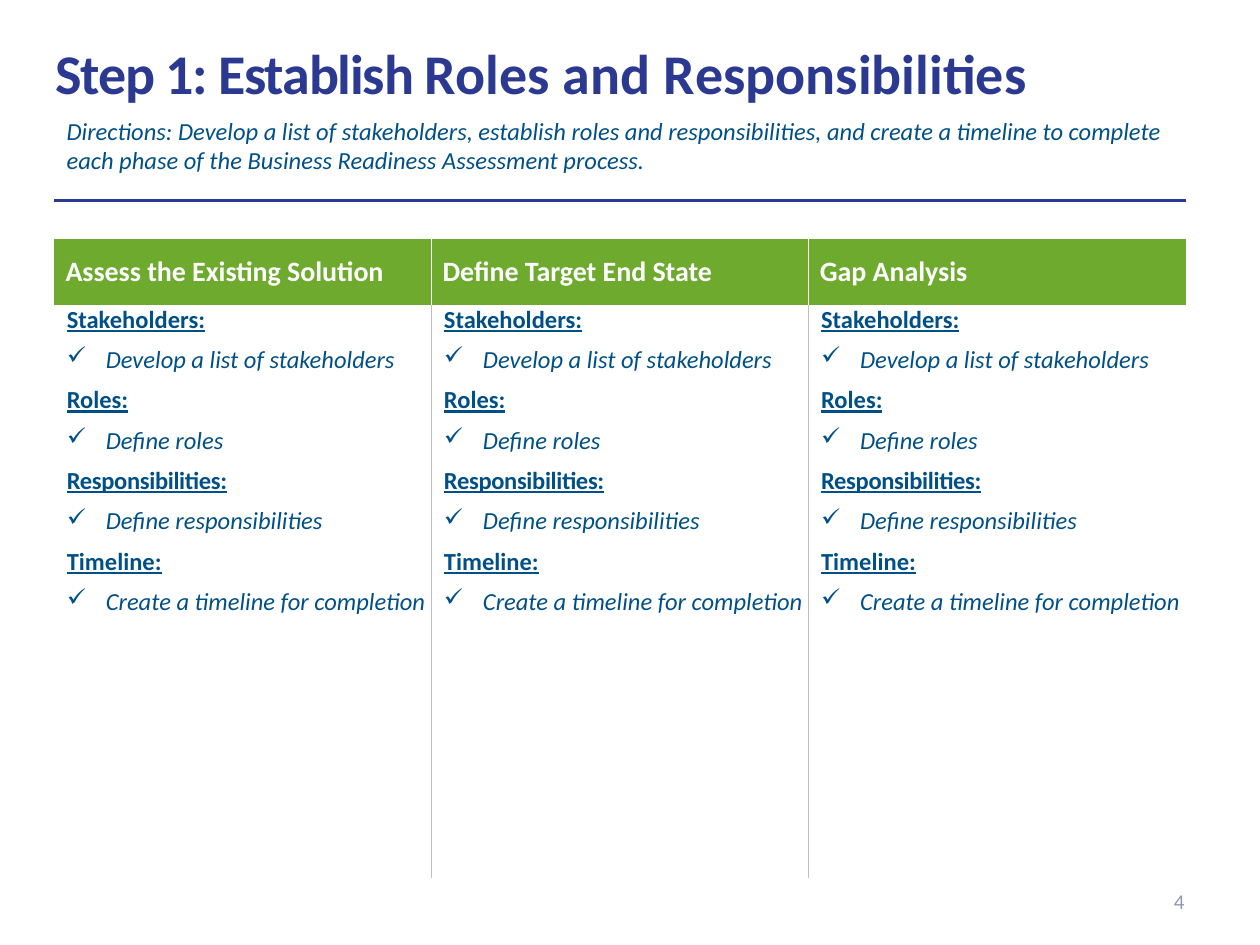
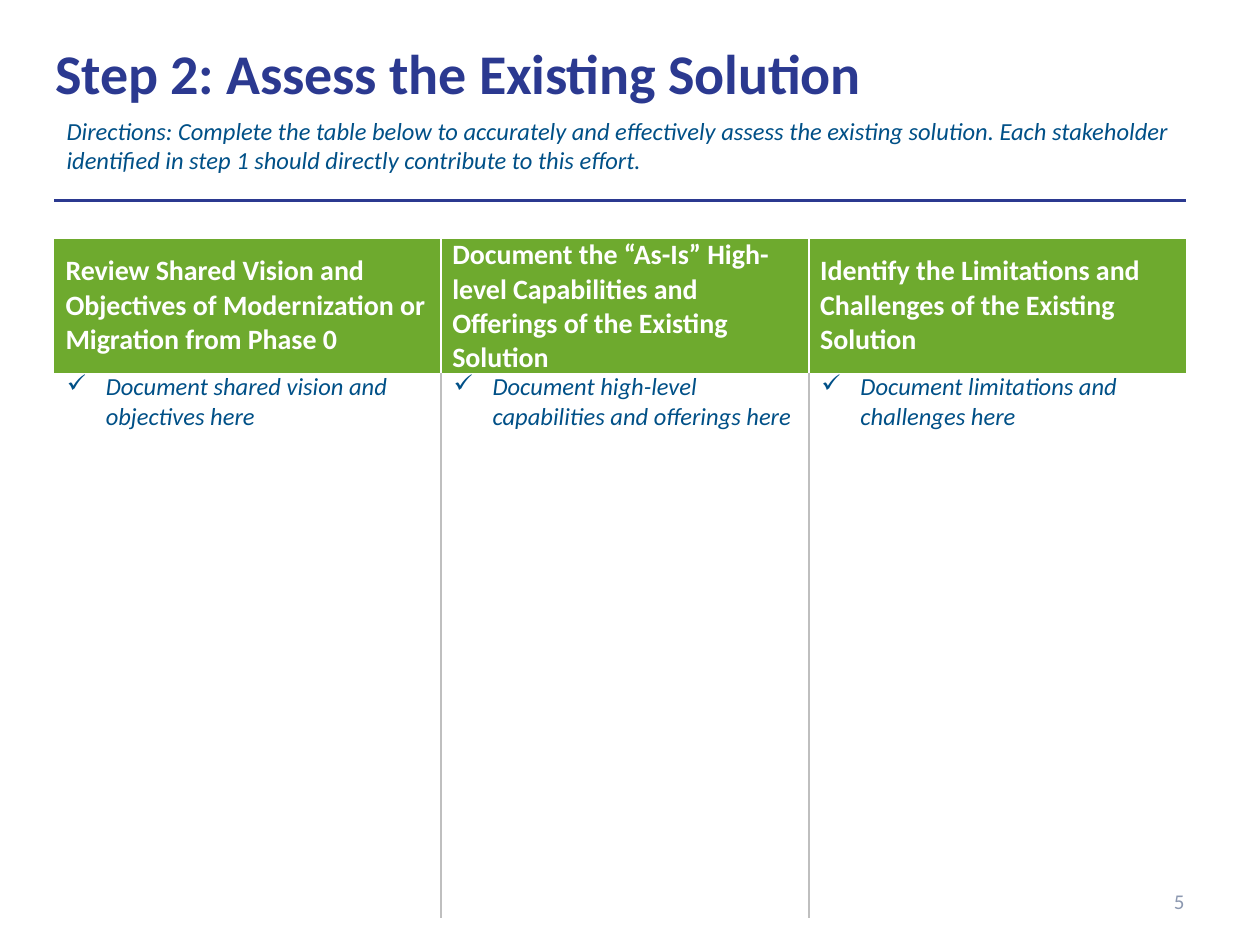
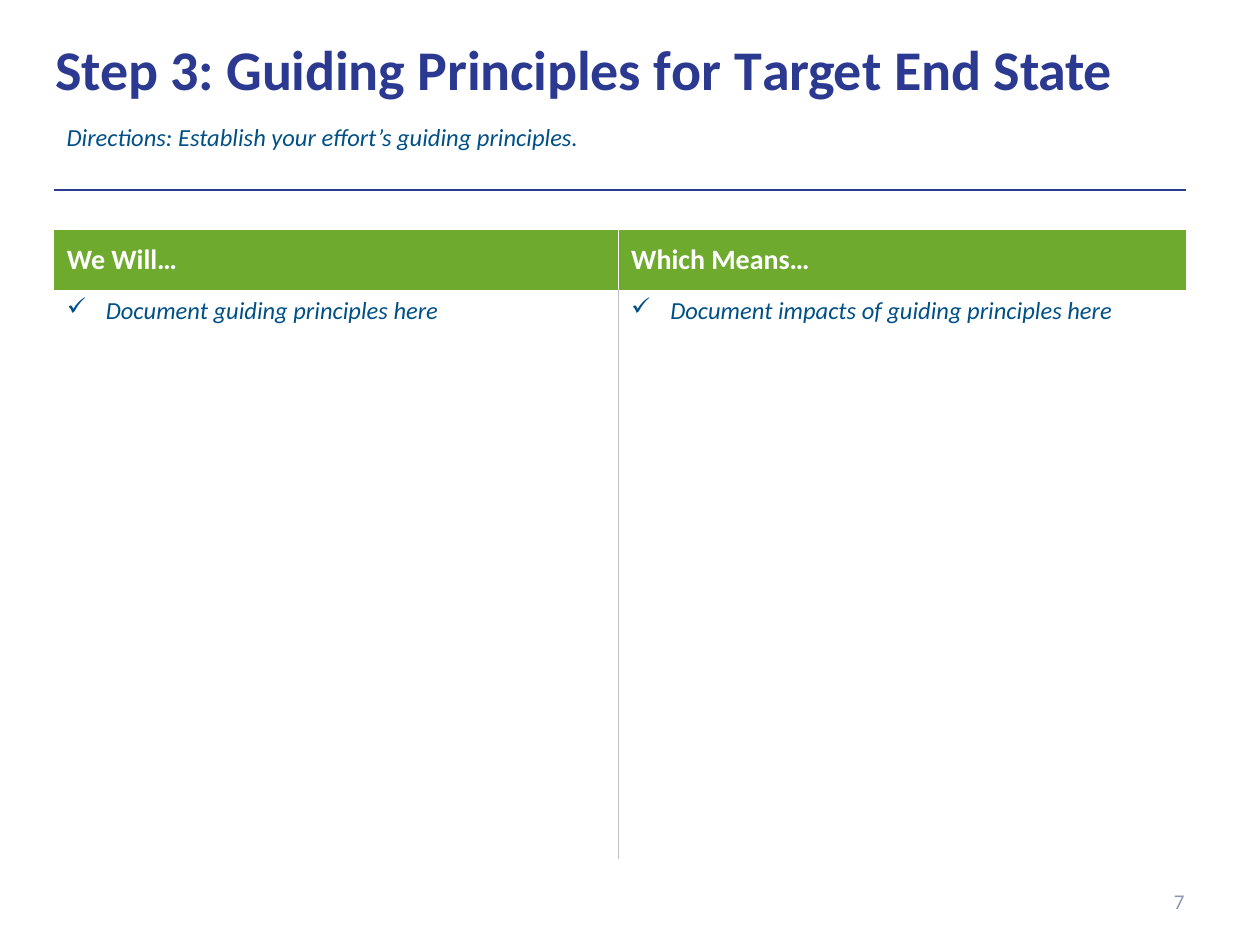
from lxml import etree
from pptx import Presentation
from pptx.dml.color import RGBColor
from pptx.enum.text import MSO_ANCHOR, PP_ALIGN
from pptx.oxml.ns import qn
from pptx.util import Inches, Pt

NAVY = RGBColor(0x2B, 0x39, 0x90)
BLUE = RGBColor(0x00, 0x50, 0x87)
GREEN = RGBColor(0x6E, 0xAA, 0x2E)
WHITE = RGBColor(0xFF, 0xFF, 0xFF)
RULE = RGBColor(0xBF, 0xBF, 0xBF)
GREY = RGBColor(0x8C, 0x98, 0xB0)
FONT = "Calibri"
LEFT, WIDTH = 0.43, 8.98

# Body lines are (kind, text); kind is "head" or "check"
ROLES = [
    ("head", "Stakeholders:"), ("check", "Develop a list of stakeholders"),
    ("head", "Roles:"), ("check", "Define roles"),
    ("head", "Responsibilities:"), ("check", "Define responsibilities"),
    ("head", "Timeline:"), ("check", "Create a timeline for completion"),
]

# Title runs are (text, letter spacing in points)
SLIDES = [
    dict(
        number="4", title_top=0.36, note_top=0.87, note_height=0.57,
        title=[("Step 1: Establish R", -0.7), ("oles and ", 0), ("R", -0.6),
               ("esponsibilities", 0)],
        note="Directions: Develop a list of stakeholders, establish roles and "
             "responsibilities, and create a timeline to complete each phase of "
             "the Business Readiness Assessment process.",
        top=1.59, cols=[WIDTH / 3] * 3, rows=[0.3, 0.53, 4.55],
        padded=False, space=6,
        heads=["Assess the Existing Solution", "Define Target End State",
               "Gap Analysis"],
        bodies=[ROLES] * 3,
    ),
    dict(
        number="5", title_top=0.36, note_top=0.87, note_height=0.57,
        title=[("Step 2: Assess the Existing Solution", -0.1)],
        note="Directions: Complete the table below to accurately and effectively "
             "assess the existing solution. Each stakeholder identified in step 1 "
             "should directly contribute to this effort.",
        top=1.59, cols=[3.07, 2.92, 2.99], rows=[0.3, 1.03, 4.33],
        padded=False, space=0,
        heads=["Review Shared Vision and Objectives of Modernization or "
               "Migration from Phase 0",
               "Document the “As-Is” High-level Capabilities and Offerings of "
               "the Existing Solution",
               "Identify the Limitations and Challenges of the Existing Solution"],
        bodies=[[("check", "Document shared vision and objectives here")],
                [("check", "Document high-level capabilities and offerings here")],
                [("check", "Document limitations and challenges here")]],
    ),
    dict(
        number="7", title_top=0.33, note_top=0.92, note_height=0.34,
        title=[("Step 3: Guiding Principles ", -0.1), ("f", -0.6), ("or ", 0),
               ("T", -2.5), ("a", 0), ("rge", -0.3), ("t", 0),
               (" End S", -0.1), ("tate", -0.3)],
        note="Directions: Establish your effort’s guiding principles.",
        top=1.51, cols=[4.48, 4.5], rows=[0.31, 0.48, 2.26, 2.26],
        padded=True, space=0,
        heads=["We Will…", "Which Means…"],
        bodies=[[("check", "Document guiding principles here")],
                [("check", "Document impacts of guiding principles here")]],
    ),
]


def add_run(p, text, size, color, bold=False, italic=False, spacing=0):
    """Append a styled run to a paragraph and return it."""
    r = p.add_run()
    r.text = text
    r.font.name, r.font.size = FONT, Pt(size)
    r.font.bold, r.font.italic = bold, italic
    r.font.color.rgb = color
    if spacing:
        r._r.get_or_add_rPr().set("spc", str(round(spacing * 100)))
    return r


def set_borders(cell, **edges):
    """Draw the named edges (L, R, T, B) as (colour, points); clear the others."""
    tc_pr = cell._tc.get_or_add_tcPr()
    for side in "LRTB":
        color, points = edges.get(side) or (None, 1)
        ln = etree.SubElement(tc_pr, qn("a:ln" + side), w=str(Pt(points)))
        if color is None:
            etree.SubElement(ln, qn("a:noFill"))
        else:
            fill = etree.SubElement(ln, qn("a:solidFill"))
            etree.SubElement(fill, qn("a:srgbClr"), val=str(color))


prs = Presentation()
prs.slide_width, prs.slide_height = Inches(10), Inches(7.5)

for page in SLIDES:
    s = prs.slides.add_slide(prs.slide_layouts[6])

    # Title
    tf = s.shapes.add_textbox(Inches(LEFT), Inches(page["title_top"]),
                              Inches(WIDTH), Inches(0.49)).text_frame
    tf.word_wrap = True
    tf.margin_left = tf.margin_right = tf.margin_top = tf.margin_bottom = 0
    p = tf.paragraphs[0]
    p.line_spacing = Pt(34.6)
    p._p.get_or_add_pPr().set("marL", str(Inches(0.01)))
    for text, spacing in page["title"]:
        add_run(p, text, 32, NAVY, bold=True, spacing=spacing)

    # Directions
    tf = s.shapes.add_textbox(Inches(LEFT), Inches(page["note_top"]), Inches(WIDTH),
                              Inches(page["note_height"])).text_frame
    tf.word_wrap = True
    add_run(tf.paragraphs[0], page["note"], 14, BLUE, italic=True)

    # Table: a ruled spacer row, a green header row, then the body
    cols, rows = page["cols"], page["rows"]
    table = s.shapes.add_table(len(rows), len(cols), Inches(LEFT), Inches(page["top"]),
                               Inches(WIDTH), Inches(sum(rows))).table
    table.first_row = table.horz_banding = False
    for i, width in enumerate(cols):
        table.columns[i].width = Inches(width)
    for j, height in enumerate(rows):
        table.rows[j].height = Inches(height)

    for j in range(len(rows)):
        for i in range(len(cols)):
            cell = table.cell(j, i)
            if j == 0 or not page["padded"]:
                cell.margin_left = cell.margin_right = 0
                cell.margin_top = cell.margin_bottom = 0
            if j == 0:
                set_borders(cell, T=(NAVY, 1.56))
            else:
                line = (WHITE if j == 1 else RULE, 1)
                set_borders(cell, L=line if i > 0 else None,
                            R=line if i < len(cols) - 1 else None,
                            T=(WHITE, 1) if j == 1 else None)
            if j == 1:
                cell.fill.solid()
                cell.fill.fore_color.rgb = GREEN
            else:
                cell.fill.background()

    inset = 0 if page["padded"] else 0.1
    for i, (head, body) in enumerate(zip(page["heads"], page["bodies"])):
        cell = table.cell(1, i)
        cell.vertical_anchor = MSO_ANCHOR.MIDDLE
        p = cell.text_frame.paragraphs[0]
        p._p.get_or_add_pPr().set("marL", str(Inches(max(inset - 0.01, 0))))
        add_run(p, head, 16, WHITE, bold=True)

        tf = table.cell(2, i).text_frame
        for n, (kind, text) in enumerate(body):
            p = tf.paragraphs[0] if n == 0 else tf.add_paragraph()
            p.space_before = Pt(page["space"])
            p_pr = p._p.get_or_add_pPr()
            if kind == "check":
                p_pr.set("marL", str(Inches(inset + 0.31)))
                p_pr.set("indent", str(Inches(-0.31)))
                etree.SubElement(p_pr, qn("a:buChar"), char="✓")
                add_run(p, text, 14, BLUE, italic=True)
            else:
                p_pr.set("marL", str(Inches(inset)))
                spacing = -0.2 if text == "Responsibilities:" else 0
                r = add_run(p, text, 14, BLUE, bold=True, spacing=spacing)
                r.font.underline = True

    # Page number
    tf = s.shapes.add_textbox(Inches(7.17), Inches(6.95),
                              Inches(2.33), Inches(0.4)).text_frame
    tf.word_wrap = True
    tf.vertical_anchor = MSO_ANCHOR.MIDDLE
    p = tf.paragraphs[0]
    p.alignment = PP_ALIGN.RIGHT
    add_run(p, page["number"], 12, GREY)

prs.save("out.pptx")
